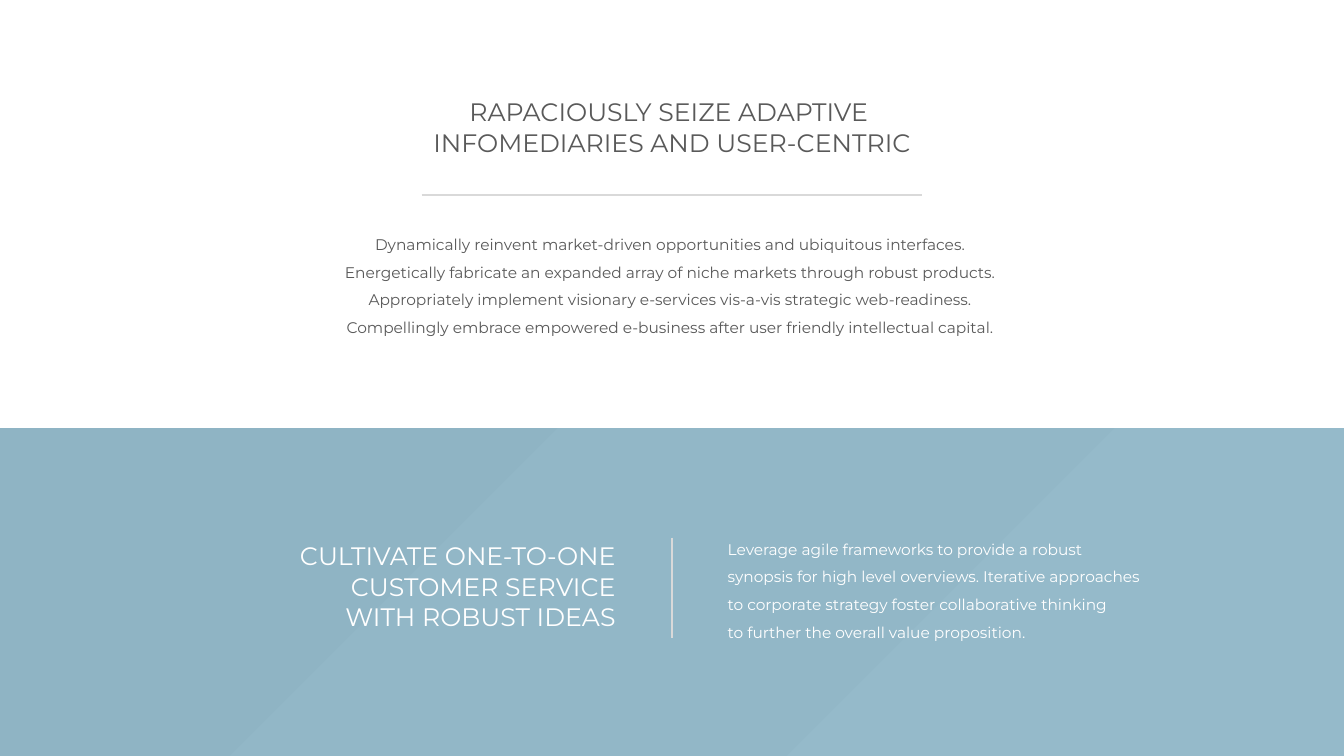
from lxml import etree
from pptx import Presentation
from pptx.dml.color import RGBColor
from pptx.enum.shapes import MSO_CONNECTOR, MSO_SHAPE
from pptx.enum.text import MSO_AUTO_SIZE, PP_ALIGN
from pptx.oxml.ns import qn
from pptx.util import Pt

RECTANGLE = MSO_SHAPE.RECTANGLE
STRAIGHT = MSO_CONNECTOR.STRAIGHT
FIT_SHAPE = MSO_AUTO_SIZE.SHAPE_TO_FIT_TEXT
LEFT, CENTER, RIGHT = PP_ALIGN.LEFT, PP_ALIGN.CENTER, PP_ALIGN.RIGHT

WHITE = RGBColor(0xFF, 0xFF, 0xFF)
GRAY = RGBColor(0x59, 0x59, 0x59)
RULE_GRAY = RGBColor(0xD9, 0xD9, 0xD9)
BLUE_DARK = RGBColor(0x8F, 0xB4, 0xC4)
BLUE_LIGHT = RGBColor(0x95, 0xBA, 0xCA)

WIDTH, HEIGHT = 1920, 1080
MIDDLE = WIDTH / 2
BAND_TOP = 612

HEADING = {"size": Pt(36), "spacing": 1.0}
BODY = {"size": Pt(22), "spacing": 1.5}


class SlideBuilder:
    """Holds the slide and its style; all lengths are in points."""

    font_name = "Montserrat"
    rule_width = 3

    def __init__(self, slide):
        self.slide = slide

    def gradient_band(self, left, top, width, height, colors):
        band = self.slide.shapes.add_shape(
            RECTANGLE, Pt(left), Pt(top), Pt(width), Pt(height))
        band.shadow.inherit = False
        band.line.fill.background()
        band.fill.gradient()
        band.fill.gradient_angle = 315
        for stop, color in zip(band.fill.gradient_stops, colors):
            stop.color.rgb = color

    def rule(self, x1, y1, x2, y2):
        rule = self.slide.shapes.add_connector(
            STRAIGHT, Pt(x1), Pt(y1), Pt(x2), Pt(y2))
        rule.line.color.rgb = RULE_GRAY
        rule.line.width = Pt(self.rule_width)
        etree.SubElement(rule._element.spPr, qn("a:effectLst"))

    def text(self, left, top, width, height, lines, style, color, align,
             wrap=False):
        box = self.slide.shapes.add_textbox(
            Pt(left), Pt(top), Pt(width), Pt(height))
        frame = box.text_frame
        frame.word_wrap = wrap
        frame.auto_size = FIT_SHAPE
        frame.text = "\n".join(lines)
        font_format = {"name": self.font_name, "size": style["size"]}
        for paragraph in frame.paragraphs:
            paragraph.alignment = align
            paragraph.line_spacing = style["spacing"]
            for run in paragraph.runs:
                for attribute, value in font_format.items():
                    setattr(run.font, attribute, value)
                run.font.color.rgb = color


def main():
    presentation = Presentation()
    presentation.slide_width = Pt(WIDTH)
    presentation.slide_height = Pt(HEIGHT)
    builder = SlideBuilder(
        presentation.slides.add_slide(presentation.slide_layouts[6]))

    # Lower band: heading and body on either side of a vertical rule
    builder.gradient_band(0, BAND_TOP, WIDTH, HEIGHT - BAND_TOP,
                          (BLUE_DARK, BLUE_LIGHT))
    builder.text(1032.5, 754.5, 609, 167, [
        "Leverage agile frameworks to provide a robust",
        "synopsis for high level overviews. Iterative approaches",
        "to corporate strategy foster collaborative thinking",
        "to further the overall value proposition.",
    ], BODY, WHITE, LEFT)
    builder.rule(MIDDLE, 768, MIDDLE, 911)
    builder.text(420.5, 769, 466, 138, [
        "CULTIVATE ONE-TO-ONE",
        "CUSTOMER SERVICE",
        "WITH ROBUST IDEAS",
    ], HEADING, WHITE, RIGHT)

    # Upper part: heading, horizontal rule and body, all centred
    builder.text(608.5, 134.5, 703, 94.5, [
        "RAPACIOUSLY SEIZE ADAPTIVE ",
        "INFOMEDIARIES AND USER-CENTRIC",
    ], HEADING, GRAY, CENTER)
    builder.rule(MIDDLE - 357.5, 278, MIDDLE + 357.5, 278)
    builder.text(471, 319, 978, 167, [
        "Dynamically reinvent market-driven opportunities and ubiquitous interfaces. ",
        "Energetically fabricate an expanded array of niche markets through robust products. ",
        "Appropriately implement visionary e-services vis-a-vis strategic web-readiness. ",
        "Compellingly embrace empowered e-business after user friendly intellectual capital. ",
    ], BODY, GRAY, CENTER, wrap=True)

    presentation.save("out.pptx")


if __name__ == "__main__":
    main()
